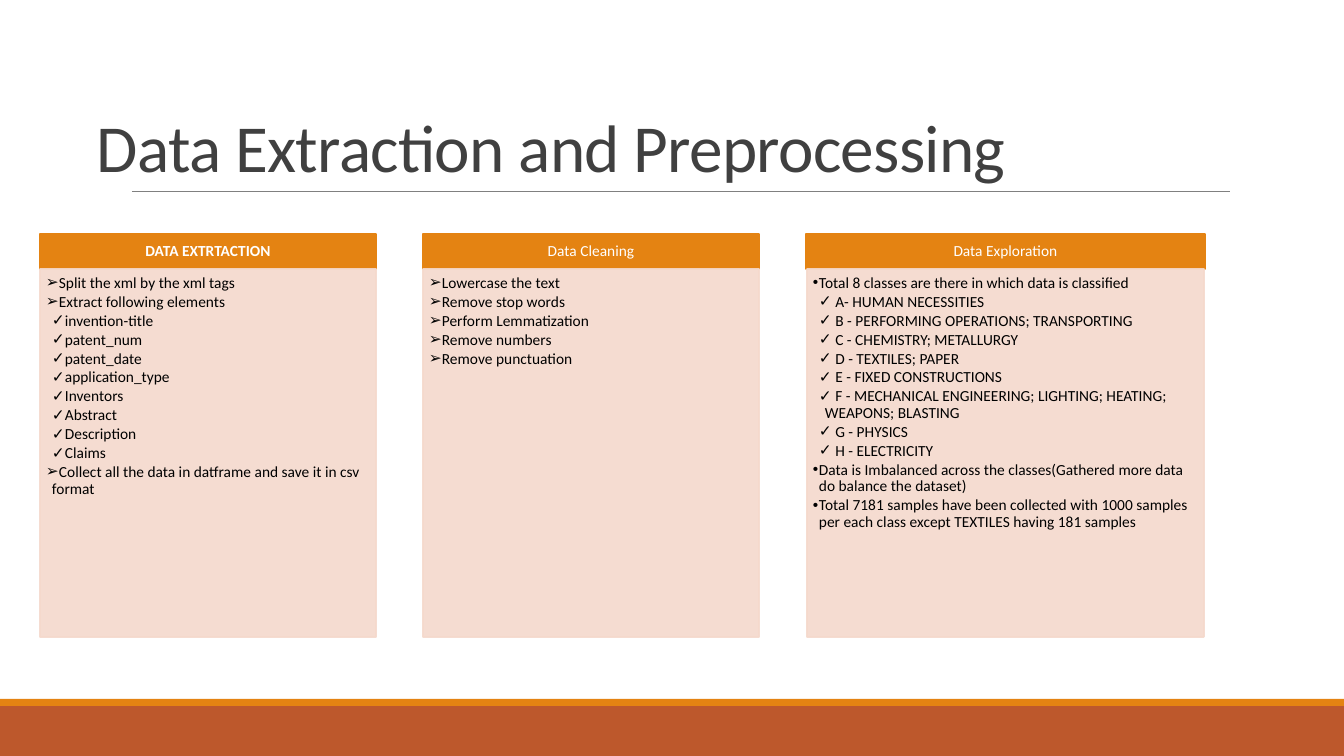
from lxml import etree
from pptx import Presentation
from pptx import util as u
from pptx.dml.color import RGBColor
from pptx.enum import shapes, text
from pptx.oxml.ns import qn

TITLE = "Data Extraction and Preprocessing"
# Column items are (level, bullet, text).
COLUMNS = [
    dict(head="DATA EXTRTACTION", bold=True, head_box=(40, 336), body_box=(40, 336), items=[
        (1, "➢", "Split the xml by the xml tags"),
        (1, "➢", "Extract following elements"),
        (2, "✓", "invention-title"),
        (2, "✓", "patent_num"),
        (2, "✓", "patent_date"),
        (2, "✓", "application_type"),
        (2, "✓", "Inventors"),
        (2, "✓", "Abstract"),
        (2, "✓", "Description"),
        (2, "✓", "Claims"),
        (1, "➢", "Collect all the data in datframe and save it in csv format"),
    ]),
    dict(head="Data Cleaning", bold=False, head_box=(423, 336), body_box=(423, 336), items=[
        (1, "➢", "Lowercase the text"),
        (1, "➢", "Remove stop words"),
        (1, "➢", "Perform Lemmatization"),
        (1, "➢", "Remove numbers"),
        (1, "➢", "Remove punctuation"),
    ]),
    dict(head="Data Exploration", bold=False, head_box=(806, 399), body_box=(807, 397), items=[
        (1, "•", "Total 8 classes are there in which data is classified"),
        (2, "✓", " A- HUMAN NECESSITIES"),
        (2, "✓", " B - PERFORMING OPERATIONS; TRANSPORTING"),
        (2, "✓", " C - CHEMISTRY; METALLURGY"),
        (2, "✓", " D - TEXTILES; PAPER"),
        (2, "✓", " E - FIXED CONSTRUCTIONS"),
        (2, "✓", " F - MECHANICAL ENGINEERING; LIGHTING; HEATING; WEAPONS; BLASTING"),
        (2, "✓", " G - PHYSICS"),
        (2, "✓", " H - ELECTRICITY"),
        (1, "•", "Data is Imbalanced across the classes"
                 "(Gathered more data do balance the dataset)"),
        (1, "•", "Total 7181 samples have been collected with 1000 samples "
                 "per each class except TEXTILES having 181 samples"),
    ]),
]
COLORS = dict(orange="E48312", rust="BD582C", blush="F5D9CC", rule="808080",
              title="404040", white="FFFFFF", black="000000")
FONT = "Calibri"
SLIDE_W, SLIDE_H = 1344, 756
HEAD_TOP, HEAD_H, BODY_H = 234, 35, 368
INDENT = 6


def px(n):
    return u.Emu(round(n * 914400 / 100.8))


def rgb(name):
    return RGBColor.from_string(COLORS[name])


def add_rect(slide, x, y, w, h, color, outline=False, alpha=None):
    sp = slide.shapes.add_shape(shapes.MSO_SHAPE.RECTANGLE, px(x), px(y), px(w), px(h))
    sp.shadow.inherit = False
    sp.fill.solid()
    sp.fill.fore_color.rgb = rgb(color)
    if outline:
        sp.line.color.rgb = rgb(color)
        sp.line.width = u.Pt(1.25)
    else:
        sp.line.fill.background()
    if alpha:
        for clr in sp._element.spPr.iter(qn("a:srgbClr")):
            etree.SubElement(clr, qn("a:alpha"), val=str(alpha * 1000))
    return sp


def set_frame(tf, anchor, insets):
    tf.word_wrap = True
    tf.auto_size = text.MSO_AUTO_SIZE.NONE
    tf.vertical_anchor = anchor
    tf.margin_left, tf.margin_top, tf.margin_right, tf.margin_bottom = map(px, insets)


def write(p, words, size=11, color="black", bold=False, align=text.PP_ALIGN.LEFT,
          spacing=0.9, after=0, level=0, bullet=None, tracking=None):
    p.alignment = align
    p.line_spacing = spacing
    p.space_before, p.space_after = u.Pt(0), u.Pt(after)
    p.level = level
    if bullet:
        pPr = p._p.get_or_add_pPr()
        pPr.set("marL", str(px(level * INDENT)))
        pPr.set("indent", str(px(-INDENT)))
        etree.SubElement(pPr, qn("a:buFont"), typeface="Arial")
        etree.SubElement(pPr, qn("a:buChar"), char=bullet)
    r = p.add_run()
    r.text = words
    r.font.name, r.font.size, r.font.bold = FONT, u.Pt(size), bold
    r.font.color.rgb = rgb(color)
    if tracking:
        r._r.get_or_add_rPr().set("spc", str(tracking))


def add_column(slide, column):
    x, w = column["head_box"]
    head = add_rect(slide, x, HEAD_TOP, w, HEAD_H, "orange", outline=True)
    set_frame(head.text_frame, text.MSO_ANCHOR.MIDDLE, (9, 5, 9, 5))
    write(head.text_frame.paragraphs[0], column["head"], color="white",
          bold=column["bold"], align=text.PP_ALIGN.CENTER)

    x, w = column["body_box"]
    body = add_rect(slide, x, HEAD_TOP + HEAD_H, w, BODY_H, "blush", outline=True, alpha=90)
    tf = body.text_frame
    set_frame(tf, text.MSO_ANCHOR.TOP, (6, 6, 9, 10))
    for i, (level, bullet, words) in enumerate(column["items"]):
        p = tf.add_paragraph() if i else tf.paragraphs[0]
        write(p, words, after=1.65, level=level, bullet=bullet)


def main():
    prs = Presentation()
    prs.slide_width, prs.slide_height = px(SLIDE_W), px(SLIDE_H)
    slide = prs.slides.add_slide(prs.slide_layouts[5])

    add_rect(slide, 0, 706, SLIDE_W, 50, "rust")
    add_rect(slide, 0, 699, SLIDE_W, 7, "orange")
    rule = slide.shapes.add_connector(shapes.MSO_CONNECTOR.STRAIGHT,
                                      px(132), px(191), px(1230), px(191))
    rule.line.color.rgb = rgb("rule")
    rule.line.width = u.Pt(0.5)
    etree.SubElement(rule._element.spPr, qn("a:effectLst"))

    title = slide.shapes.title
    title.left, title.top, title.width, title.height = map(px, (87, 31, 1143, 160))
    set_frame(title.text_frame, text.MSO_ANCHOR.BOTTOM, (10, 5, 10, 5))
    write(title.text_frame.paragraphs[0], TITLE, size=48, color="title",
          spacing=0.85, tracking=-50)

    for column in COLUMNS:
        add_column(slide, column)
    prs.save("out.pptx")


if __name__ == "__main__":
    main()
